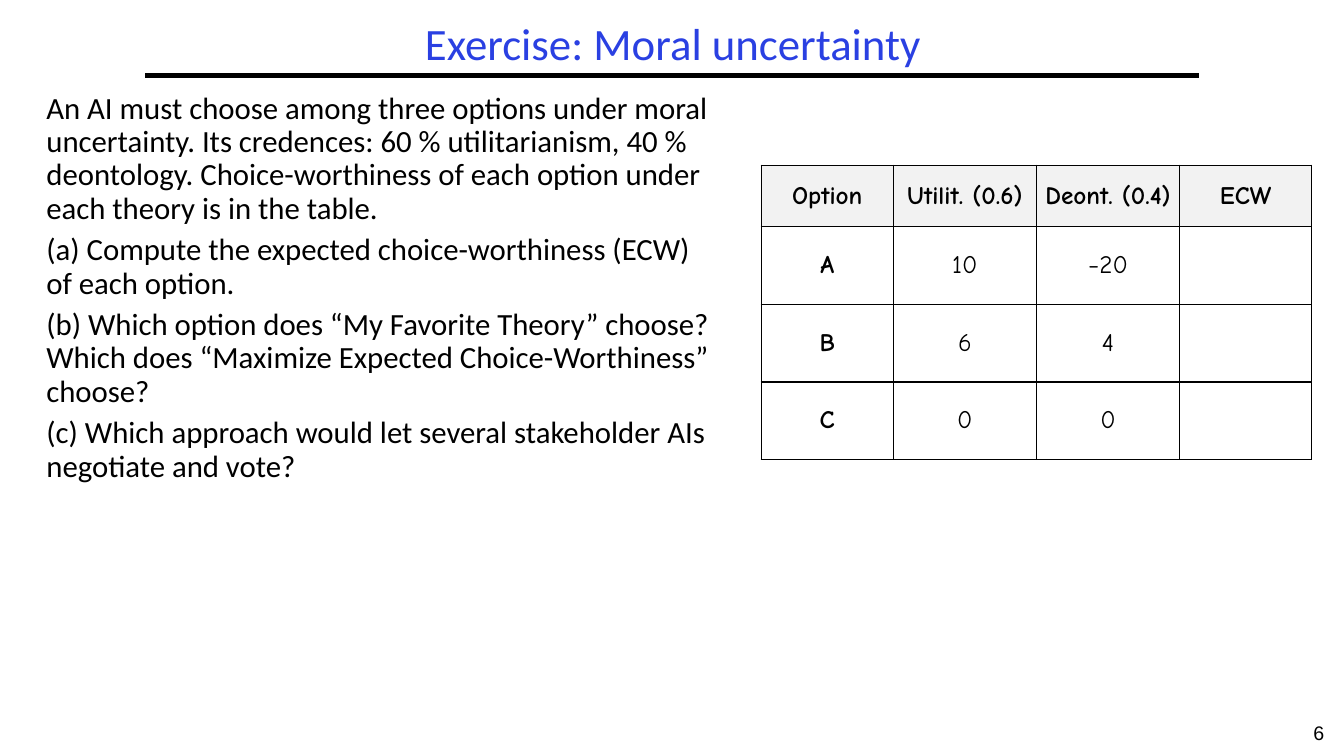
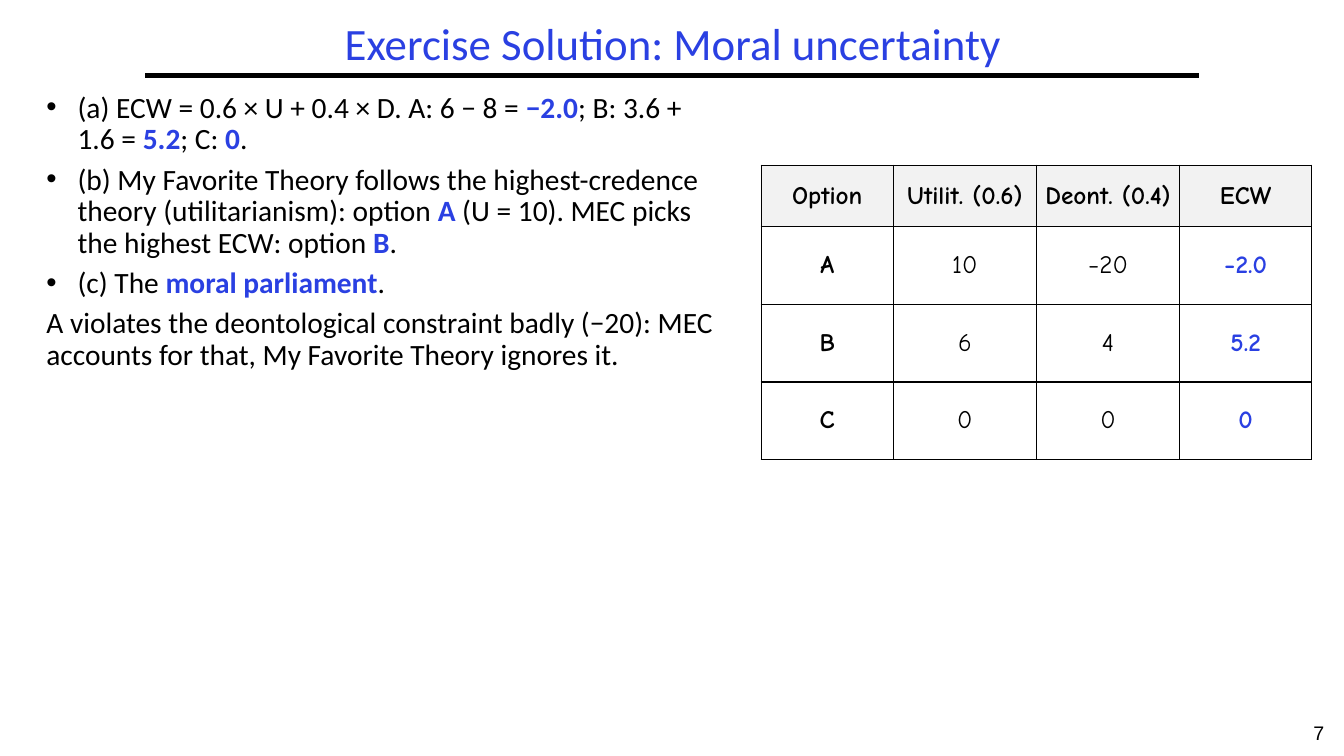
import pptx
import pptx.util
import pptx.dml.color
import pptx.enum.shapes
import pptx.enum.text
from dataclasses import dataclass
from pptx.oxml.ns import qn
from lxml import etree

PX = 9144  # 100 px to the inch
ALIGN = pptx.enum.text.PP_ALIGN
ANCHOR = pptx.enum.text.MSO_ANCHOR


@dataclass(frozen=True)
class Theme:
    ink: str = "000000"
    blue: str = "2A40E2"
    head: str = "F2F2F2"
    text: str = "Calibri"
    cell: str = "Comic Neue"
    page: str = "Arial"
    title: int = 32
    grid: int = 18
    foot: int = 14
    rule: int = 3
    edge: int = 1


T = Theme()

# Regions: left, top, width, height
TITLE = (144, 17, 1047, 58)
RULE = (144, 75, 1045, 0)
BODY = (36, 87, 689, 601)
GRID = (755, 164, 546, 292)
FOOT = (1283, 710, 50, 40)

COLS = (131, 142, 142, 131)
ROWS = (61, 77, 77, 77)
HEAD = ("Option", "Utilit. (0.6)", "Deont. (0.4)", "ECW")
DATA = (("A", "10", "−20"), ("B", "6", "4"), ("C", "0", "0"))

# Text between asterisks is stressed
SLIDES = (
    dict(title="Exercise: Moral uncertainty", page=6, size=22, ecw=("", "", ""),
         items=(),
         plain=(
             "An AI must choose among three options under moral uncertainty. "
             "Its credences: 60 % utilitarianism, 40 % deontology. "
             "Choice-worthiness of each option under each theory is in the table.",
             "(a) Compute the expected choice-worthiness (ECW) of each option.",
             "(b) Which option does “My Favorite Theory” choose? Which does "
             "“Maximize Expected Choice-Worthiness” choose?",
             "(c) Which approach would let several stakeholder AIs negotiate and vote?")),
    dict(title="Exercise Solution: Moral uncertainty", page=7, size=21,
         ecw=("−2.0", "5.2", "0"),
         items=(
             "(a) ECW = 0.6 × U + 0.4 × D. A: 6 − 8 = *−2.0*; B: 3.6 + 1.6 = *5.2*; C: *0*.",
             "(b) My Favorite Theory follows the highest-credence theory "
             "(utilitarianism): option *A* (U = 10). MEC picks the highest ECW: option *B*.",
             "(c) The *moral parliament*."),
         plain=(
             "A violates the deontological constraint badly (−20): MEC accounts "
             "for that, My Favorite Theory ignores it.",)),
)


def px(n):
    return pptx.util.Emu(n * PX)


def rgb(color):
    return pptx.dml.color.RGBColor.from_string(color)


def apply(obj, **values):
    for key, value in values.items():
        setattr(obj, key, value)


def place(shape, box):
    apply(shape, **dict(zip(("left", "top", "width", "height"), map(px, box))))


def write(para, text, size, face, color=T.ink, bold=False):
    run = para.add_run()
    run.text = text
    apply(run.font, size=pptx.util.Pt(size), name=face, bold=bold)
    run.font.color.rgb = rgb(color)


def bullet(para, shown):
    props = para._p.get_or_add_pPr()
    hang = px(31) if shown else 0
    props.set("marL", str(hang))
    props.set("indent", str(-hang))
    if shown:
        etree.SubElement(props, qn("a:buFont")).set("typeface", "Arial")
        etree.SubElement(props, qn("a:buChar")).set("char", "•")
    else:
        etree.SubElement(props, qn("a:buNone"))


def border(cell):
    props = cell._tc.get_or_add_tcPr()
    for side in ("lnL", "lnR", "lnT", "lnB"):
        line = etree.SubElement(props, qn("a:" + side))
        line.set("w", str(pptx.util.Pt(T.edge)))
        fill = etree.SubElement(line, qn("a:solidFill"))
        etree.SubElement(fill, qn("a:srgbClr")).set("val", T.ink)


def title(slide, text, box):
    shape = slide.shapes.title
    place(shape, box)
    frame = shape.text_frame
    apply(frame, vertical_anchor=ANCHOR.MIDDLE, word_wrap=True,
          auto_size=pptx.enum.text.MSO_AUTO_SIZE.NONE)
    para = frame.paragraphs[0]
    apply(para, alignment=ALIGN.CENTER, line_spacing=0.9)
    write(para, text, T.title, T.text, T.blue)


def rule(slide, box):
    left, top, width, height = box
    line = slide.shapes.add_connector(
        pptx.enum.shapes.MSO_CONNECTOR.STRAIGHT,
        px(left), px(top), px(left + width), px(top + height))
    line.line.color.rgb = rgb(T.ink)
    line.line.width = pptx.util.Pt(T.rule)
    etree.SubElement(line._element.spPr, qn("a:effectLst"))


def footer(slide, page, box):
    frame = slide.shapes.add_textbox(*map(px, box)).text_frame
    frame.word_wrap = True
    para = frame.paragraphs[0]
    para.alignment = ALIGN.CENTER
    write(para, str(page), T.foot, T.page)


def body(slide, items, plain, size, box):
    shape = slide.placeholders[1]
    place(shape, box)
    frame = shape.text_frame
    apply(frame, vertical_anchor=ANCHOR.TOP, word_wrap=True,
          auto_size=pptx.enum.text.MSO_AUTO_SIZE.NONE)
    for n, text in enumerate(items + plain):
        para = frame.add_paragraph() if n else frame.paragraphs[0]
        bullet(para, n < len(items))
        apply(para, alignment=ALIGN.LEFT, line_spacing=0.9,
              space_before=pptx.util.Pt(6 if n else 0))
        for k, part in enumerate(text.split("*")):
            stress = k % 2 == 1
            write(para, part, size, T.text, T.blue if stress else T.ink, stress)


def grid(slide, ecw, box):
    rows = [HEAD] + [row + (score,) for row, score in zip(DATA, ecw)]
    table = slide.shapes.add_table(len(ROWS), len(COLS), *map(px, box)).table
    apply(table, first_row=False, horz_banding=False)
    for col, width in zip(table.columns, COLS):
        col.width = px(width)
    for row, height in zip(table.rows, ROWS):
        row.height = px(height)
    for r, row in enumerate(rows):
        for c, text in enumerate(row):
            cell = table.cell(r, c)
            apply(cell, vertical_anchor=ANCHOR.MIDDLE, margin_left=px(7),
                  margin_right=px(7), margin_top=px(3), margin_bottom=px(3))
            border(cell)
            if r:
                cell.fill.background()
            else:
                cell.fill.solid()
                cell.fill.fore_color.rgb = rgb(T.head)
            if text:
                para = cell.text_frame.paragraphs[0]
                para.alignment = ALIGN.CENTER
                color = T.blue if r and c == 3 else T.ink
                write(para, text, T.grid, T.cell, color, r == 0 or c in (0, 3))


def build(deck, data):
    slide = deck.slides.add_slide(deck.slide_layouts[1])
    # Shared frame
    rule(slide, RULE)
    footer(slide, data["page"], FOOT)
    title(slide, data["title"], TITLE)
    # Text and table
    body(slide, data["items"], data["plain"], data["size"], BODY)
    grid(slide, data["ecw"], GRID)


def main():
    deck = pptx.Presentation()
    apply(deck, slide_width=px(1333), slide_height=px(750))
    for data in SLIDES:
        build(deck, data)
    deck.save("out.pptx")


if __name__ == "__main__":
    main()
